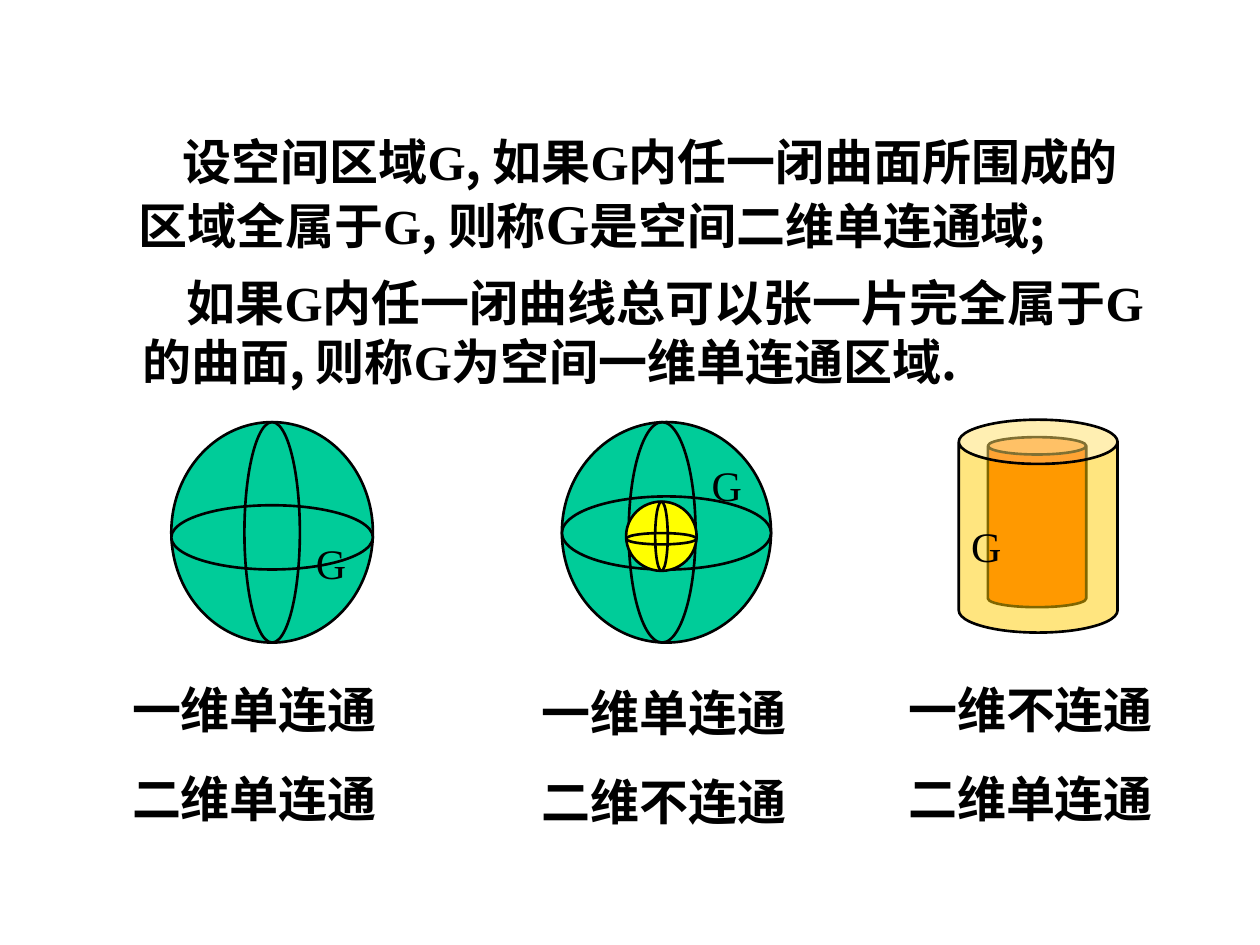
from lxml import etree
from pptx import Presentation
from pptx.dml.color import RGBColor
from pptx.enum import shapes, text
from pptx.oxml import ns
from pptx.util import Pt

HUES = {"ink": "000000", "green": "00CC99", "yellow": "FFFF00",
        "core": "FF6600", "gold": "FFCC00"}
HAN = "Noto Sans CJK SC"
ROMAN = "Times New Roman"
OVAL = shapes.MSO_SHAPE.OVAL
CAN = shapes.MSO_SHAPE.CAN


def hue(name):
    """Return the named colour."""
    return RGBColor.from_string(HUES[name])


def style(font, size, bold=False):
    """Set the Latin and Chinese faces, size and colour of a font."""
    font.name = ROMAN
    font.size = Pt(size)
    font.bold = bold
    font.color.rgb = hue("ink")
    face = etree.SubElement(font._element, ns.qn("a:ea"))
    face.set("typeface", HAN)


def add_box(host, area, wrap=False):
    """Add an empty text box and return its frame."""
    frame = host.add_textbox(*map(Pt, area)).text_frame
    frame.word_wrap = wrap
    frame.auto_size = text.MSO_AUTO_SIZE.NONE
    return frame


def add_prose(host, area, pitch, parts):
    """Add an indented paragraph from (words, face, size) parts."""
    para = add_box(host, area, True).paragraphs[0]
    para.line_spacing = Pt(pitch)
    para._p.get_or_add_pPr().set("indent", str(Pt(25.5)))
    style(para.font, 28, True)
    for words, face, size in parts:
        run = para.add_run()
        run.text = words
        style(run.font, size, True)
        run.font.name = face


def split(words, big=None):
    """Split words at each G, giving G the Roman face."""
    parts = []
    for num, piece in enumerate(words.split("G")):
        if num:
            parts.append(("G", ROMAN, 32 if num == big else 28))
        if piece:
            parts.append((piece, HAN, 28))
    return parts


def add_label(host, area, lines):
    """Add a stacked caption."""
    frame = add_box(host, area)
    for num, line in enumerate(lines):
        para = frame.paragraphs[0] if num == 0 else frame.add_paragraph()
        para.text = line
        para.line_spacing = Pt(33.5)
        para.space_before = Pt(17.5 if num else 0)
        style(para.font, 28, True)


def add_mark(host, left, top):
    """Add the letter G that names a region."""
    para = add_box(host, (left, top, 31.7, 36)).paragraphs[0]
    para.text = "G"
    style(para.font, 24)


def add_solid(host, kind, area, fill=None):
    """Add an outlined shape, filled when a colour is named."""
    shape = host.add_shape(kind, *map(Pt, area))
    shape.shadow.inherit = False
    shape.line.color.rgb = hue("ink")
    shape.line.width = Pt(1.5)
    if fill:
        shape.fill.solid()
        shape.fill.fore_color.rgb = hue(fill)
    else:
        shape.fill.background()
    return shape


def add_ball(host, area, belt, ring, fill):
    """Add a sphere with a belt (top, height) and a ring (left, width)."""
    left, top, width, height = area
    add_solid(host, OVAL, area, fill)
    add_solid(host, OVAL, (left, belt[0], width, belt[1]), fill)
    add_solid(host, OVAL, (ring[0], top, ring[1], height))


def add_tube(host):
    """Add a see-through cylinder around a solid core."""
    core = add_solid(host, CAN, (564.5, 249.8, 56.2, 97.2), "core")
    core.adjustments[0] = 0.177
    wall = add_solid(host, CAN, (547.9, 239.8, 90.7, 121.7), "gold")
    wall.adjustments[0] = 0.279
    tint = wall._element.spPr.find(".//" + ns.qn("a:srgbClr"))
    etree.SubElement(tint, ns.qn("a:alpha")).set("val", "50000")


def main():
    """Build the slide on connected regions."""
    deck = Presentation()
    deck.slide_width, deck.slide_height = Pt(720), Pt(540)
    tree = deck.slides.add_slide(deck.slide_layouts[6]).shapes

    add_prose(tree, (72, 68.5, 600.5, 79.2), 37, split(
        "设空间区域G, 如果G内任一闭曲面所围成的区域全属于G, 则称G是空间二维单连通域;", 4))
    add_prose(tree, (74.2, 152.3, 609.8, 74.9), 33.5, split(
        "如果G内任一闭曲线总可以张一片完全属于G的曲面, 则称G为空间一维单连通区域."))

    ball = tree.add_group_shape().shapes
    add_ball(ball, (97.9, 241.2, 115.2, 126), (288.7, 36.7), (139.7, 31.7), "green")
    add_mark(ball, 173.5, 303.8)

    shell = tree.add_group_shape().shapes
    add_ball(shell, (321.1, 241.2, 119.5, 126), (283.7, 41.8), (359.3, 38.2), "green")
    add_ball(shell, (357.8, 286.6, 40.3, 39.6), (304.6, 6.5), (374.4, 7.2), "yellow")
    add_mark(shell, 399.6, 259.2)

    tube = tree.add_group_shape().shapes
    add_tube(tube)
    add_mark(tube, 547.9, 293.8)

    labels = [(68.4, 384.8, "一维单连通", "二维单连通"),
              (302.4, 386.3, "一维单连通", "二维不连通"),
              (511.9, 384.8, "一维不连通", "二维单连通")]
    for left, top, *lines in labels:
        add_label(tree, (left, top, 154.1, 92.2), lines)

    deck.save("out.pptx")


if __name__ == "__main__":
    main()
